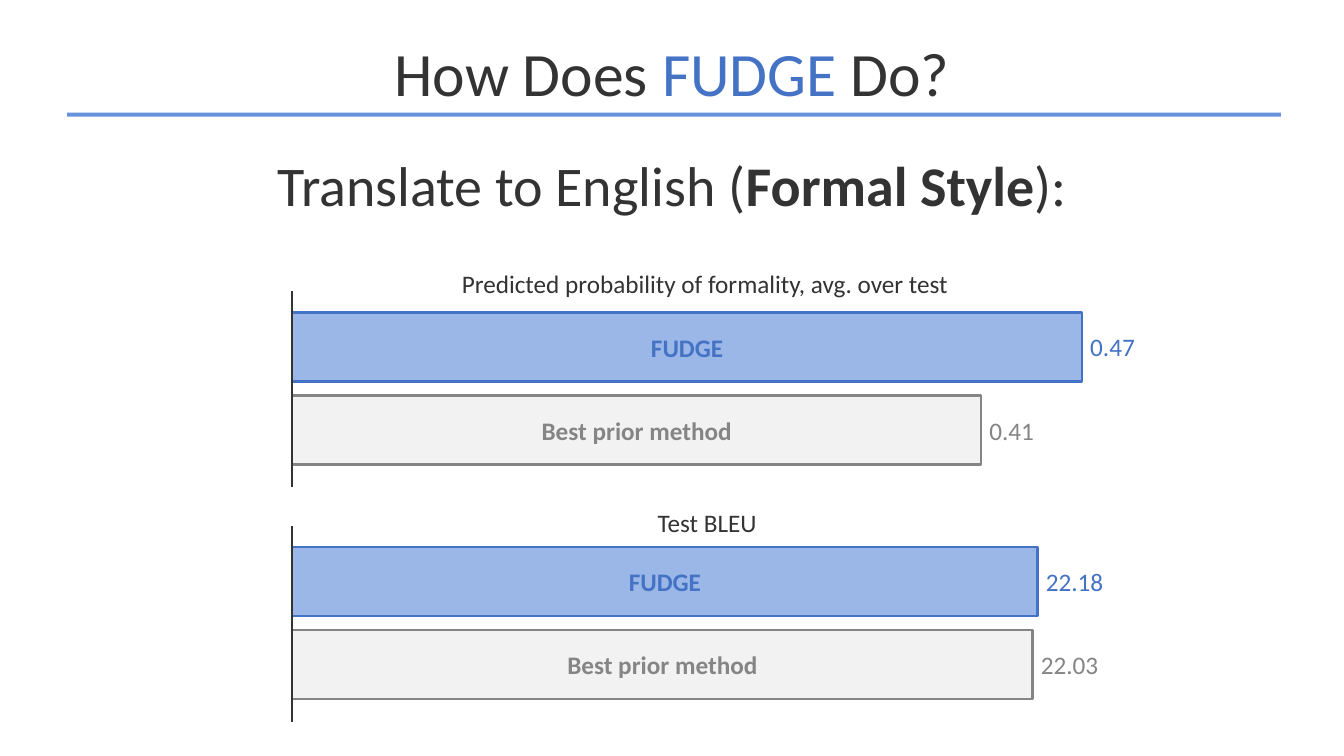
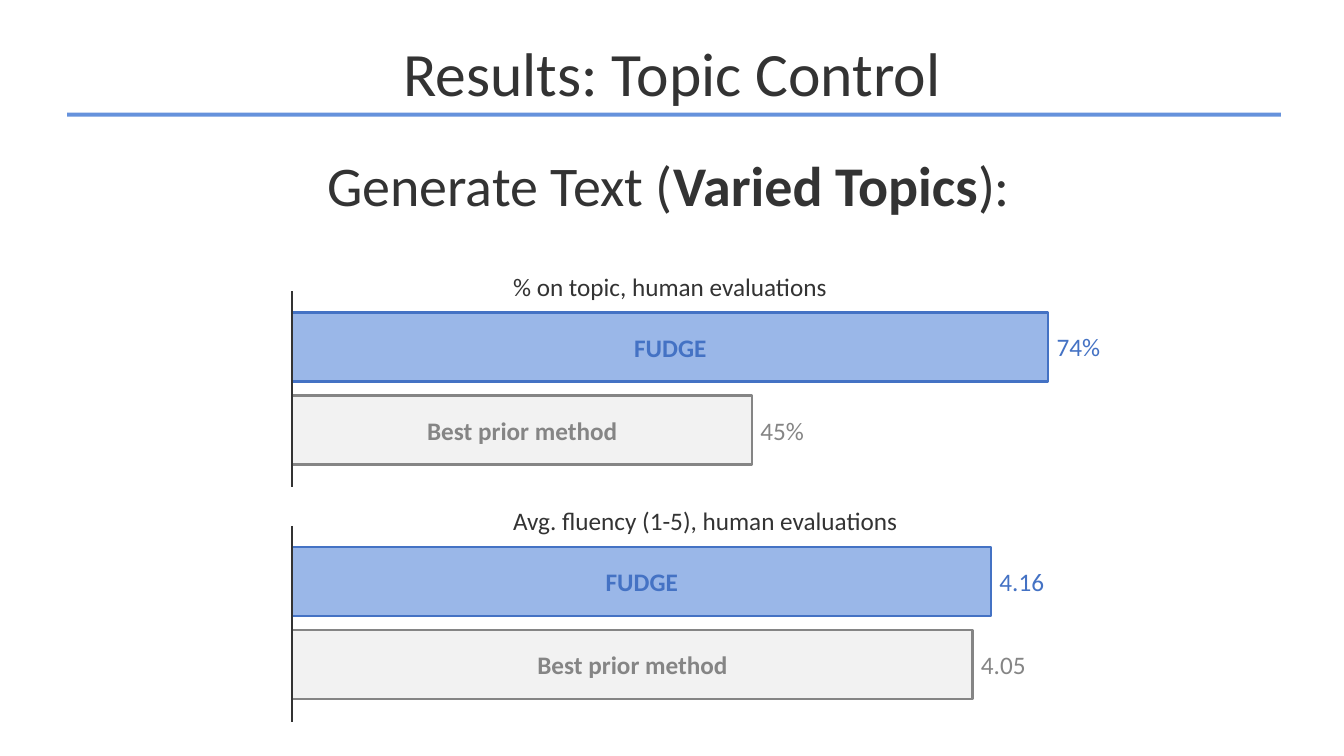
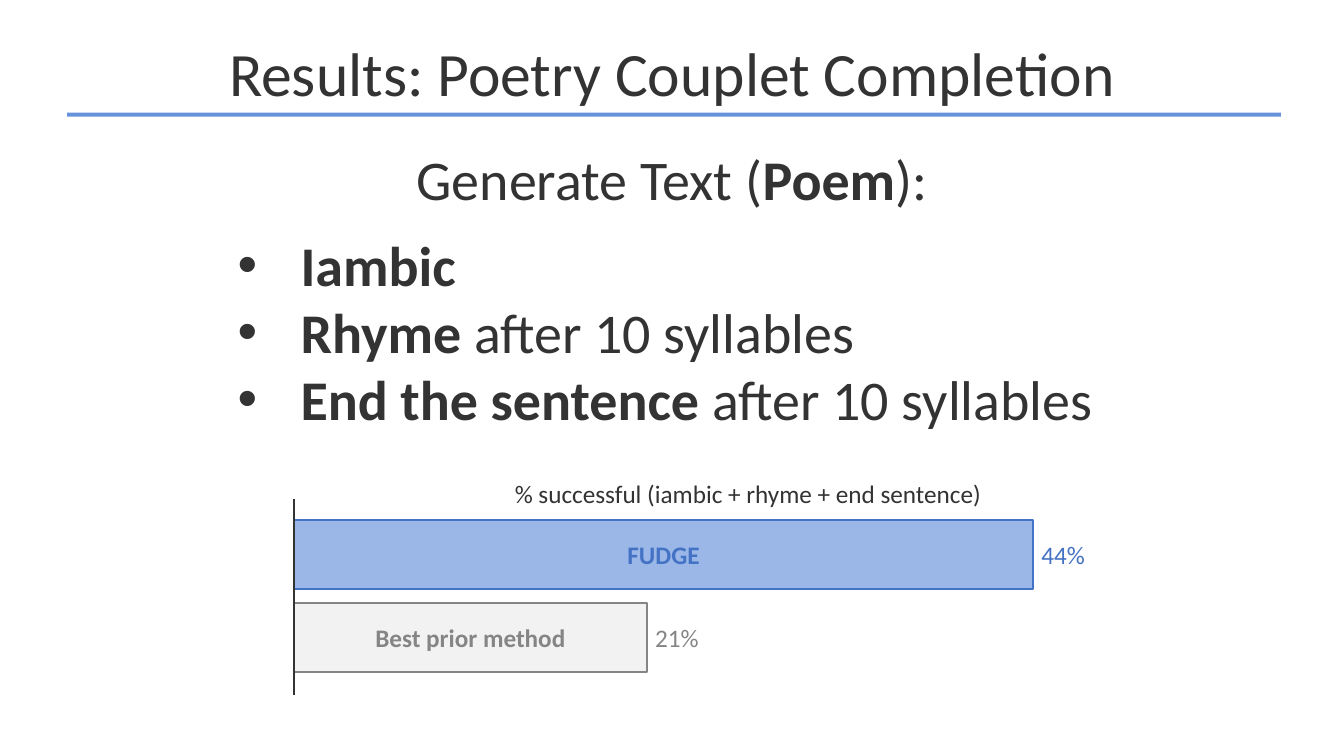
from lxml import etree
from pptx import Presentation
from pptx.dml.color import RGBColor
from pptx.enum import shapes, text
from pptx.oxml import ns
from pptx.util import Inches, Pt

FONT = "Calibri"
HEX = {"ink": "333333", "rule": "6692DC", "blue": "4472C4",
       "sky": "9AB7E8", "gray": "858585", "pale": "F2F2F2"}
BARS = [("FUDGE", "sky", "blue"), ("Best prior method", "pale", "gray")]
BAR_TOP, BAR_STEP, BAR_H, AXIS_H = 0.25, 0.99, 0.82, 2.33
LABEL_H = 0.46
ALIGN, ANCHOR = text.PP_ALIGN, text.MSO_ANCHOR


def rgb(name):
    return RGBColor.from_string(HEX[name])


def set_bullet(para, indent):
    props = para._p.get_or_add_pPr()
    props.set("marL", str(Inches(indent)))
    props.set("indent", str(-Inches(indent)))
    etree.SubElement(props, ns.qn("a:buFont")).set("typeface", "Arial")
    etree.SubElement(props, ns.qn("a:buChar")).set("char", "•")


def write(shape, paras, size=21.6, color="ink", bold=False, align=ALIGN.LEFT,
          anchor=ANCHOR.TOP, wrap=True, grow=False, indent=0):
    """Fill a shape; each paragraph is a list of (text, overrides) runs."""
    frame = shape.text_frame
    frame.word_wrap = wrap
    frame.vertical_anchor = anchor
    if grow:
        frame.auto_size = text.MSO_AUTO_SIZE.SHAPE_TO_FIT_TEXT
    if isinstance(paras, str):
        paras = [[(paras, {})]]
    for i, runs in enumerate(paras):
        para = frame.add_paragraph() if i else frame.paragraphs[0]
        para.alignment = align
        if indent:
            set_bullet(para, indent)
        for words, own in runs:
            run = para.add_run()
            run.text = words
            run.font.name = FONT
            run.font.size = Pt(size)
            run.font.bold = own.get("bold", bold)
            run.font.color.rgb = rgb(own.get("color", color))


def add_text(slide, x, y, w, h, paras, **form):
    box = slide.shapes.add_textbox(Inches(x), Inches(y), Inches(w), Inches(h))
    write(box, paras, **form)


def add_rect(slide, x, y, w, h, fill, line=None):
    rect = slide.shapes.add_shape(shapes.MSO_SHAPE.RECTANGLE, Inches(x),
                                  Inches(y), Inches(w), Inches(h))
    rect.shadow.inherit = False
    rect.fill.solid()
    rect.fill.fore_color.rgb = rgb(fill)
    if line:
        rect.line.color.rgb = rgb(line)
        rect.line.width = Pt(2)
    else:
        rect.line.fill.background()
    return rect


def add_axis(slide, x, y, h):
    axis = slide.shapes.add_connector(shapes.MSO_CONNECTOR.STRAIGHT, Inches(x),
                                      Inches(y), Inches(x), Inches(y + h))
    axis.line.color.rgb = rgb("ink")
    axis.line.width = Pt(2)
    etree.SubElement(axis._element.spPr, ns.qn("a:effectLst"))


def add_bars(slide, x, y, title, values, scale, form="{}", cap=(2.53, -0.29, 4)):
    """Draw a bar pair; scale is inches per unit, cap the title's dx, dy, width."""
    dx, dy, wide = cap
    add_text(slide, x + dx, y + dy, wide, LABEL_H, title, wrap=False, grow=True)
    for i, ((name, fill, edge), value) in enumerate(zip(BARS, values)):
        top = y + BAR_TOP + i * BAR_STEP
        width = value * scale
        bar = add_rect(slide, x, top, width, BAR_H, fill, edge)
        write(bar, name, color=edge, bold=True, align=ALIGN.CENTER,
              anchor=ANCHOR.MIDDLE)
        label = form.format(value)
        add_text(slide, x + width, top + (BAR_H - LABEL_H) / 2,
                 0.9 if len(label) > 4 else 0.74, LABEL_H, label,
                 color=edge, wrap=False, grow=True)
    add_axis(slide, x, y, AXIS_H)


def add_slide(deck, title):
    slide = deck.slides.add_slide(deck.slide_layouts[6])
    add_rect(slide, 0.8, 1.34, 14.45, 0.05, "rule")
    add_text(slide, 0, 0.19, 16, 1.33, title, size=52.8, align=ALIGN.CENTER,
             anchor=ANCHOR.MIDDLE)
    return slide


def add_task(slide, x, y, w, lead, focus):
    runs = [(f"{lead} (", {}), (focus, {"bold": True}), ("):", {})]
    add_text(slide, x, y, w, 0.91, [runs], size=48, align=ALIGN.CENTER, grow=True)


def add_formal(deck):
    slide = add_slide(deck, [[("How Does ", {}), ("FUDGE", {"color": "blue"}),
                              (" Do?", {})]])
    add_bars(slide, 3.48, 3.47, "Predicted probability of formality, avg. over test",
             (0.47, 0.41), 20, cap=(1.92, -0.32, 6.05))
    add_bars(slide, 3.48, 6.26, "Test BLEU", (22.18, 22.03), 0.4,
             cap=(4.25, -0.27, 1.39))
    add_task(slide, 1.59, 1.74, 12.82, "Translate to English", "Formal Style")


def add_topic(deck):
    slide = add_slide(deck, "Results: Topic Control")
    add_task(slide, 3.03, 1.74, 9.86, "Generate Text", "Varied Topics")
    add_bars(slide, 3.48, 3.47, "% on topic, human evaluations", (74, 45),
             9 / 74, "{}%", cap=(2.53, -0.29, 3.98))
    add_bars(slide, 3.48, 6.26, "Avg. fluency (1-5), human evaluations",
             (4.16, 4.05), 2, cap=(2.53, -0.29, 4.83))


def add_poem(deck):
    slide = add_slide(deck, "Results: Poetry Couplet Completion")
    add_task(slide, 3.5, 1.67, 9, "Generate Text", "Poem")
    after = ("after 10 syllables", {"bold": False})
    rules = [[("Iambic", {})], [("Rhyme ", {}), after],
             [("End the sentence ", {}), after]]
    add_text(slide, 2.73, 2.69, 10.5, 2.52, rules, size=48, bold=True,
             wrap=False, grow=True, indent=0.75)
    add_bars(slide, 3.5, 5.94, "% successful (iambic + rhyme + end sentence)",
             (44, 21), 0.2, "{}%", cap=(2.53, -0.29, 5.81))


def main():
    deck = Presentation()
    deck.slide_width, deck.slide_height = Inches(16), Inches(9)
    for build in (add_formal, add_topic, add_poem):
        build(deck)
    deck.save("out.pptx")


if __name__ == "__main__":
    main()
